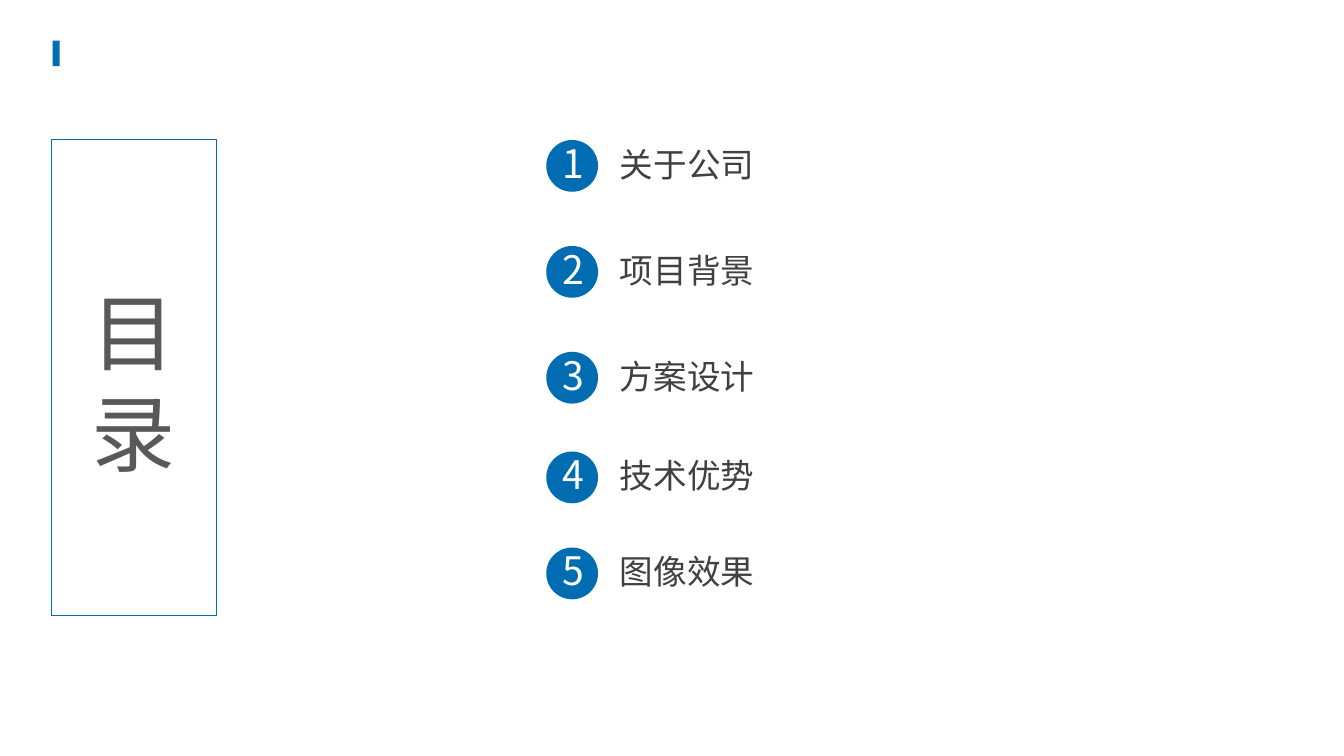
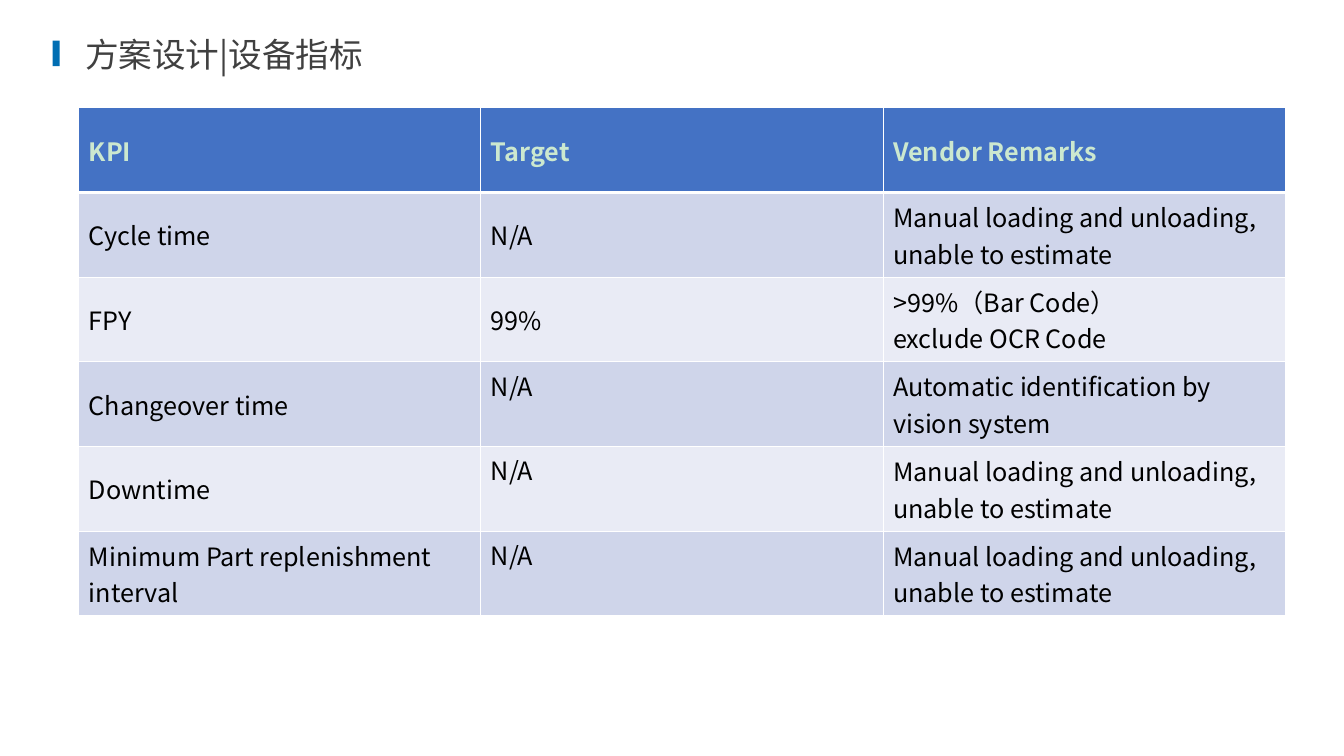
from dataclasses import dataclass
from typing import NamedTuple

from lxml import etree
from pptx import Presentation
from pptx.dml.color import RGBColor
from pptx.enum.shapes import MSO_SHAPE
from pptx.enum.text import MSO_ANCHOR, MSO_AUTO_SIZE, PP_ALIGN
from pptx.oxml.ns import qn
from pptx.util import Pt

RECT, OVAL = MSO_SHAPE.RECTANGLE, MSO_SHAPE.OVAL
TOP, MIDDLE = MSO_ANCHOR.TOP, MSO_ANCHOR.MIDDLE
LEFT, CENTER, JUSTIFY = PP_ALIGN.LEFT, PP_ALIGN.CENTER, PP_ALIGN.JUSTIFY
GROW, FIXED = MSO_AUTO_SIZE.SHAPE_TO_FIT_TEXT, MSO_AUTO_SIZE.NONE


@dataclass(frozen=True)
class Theme:
    font: str = "Noto Sans CJK SC"
    blue: str = "006EB3"
    disc: str = "006DB2"
    ink: str = "404040"
    grey: str = "595959"
    black: str = "000000"
    white: str = "FFFFFF"
    mint: str = "CCE8CF"
    head: str = "4472C4"
    bands: tuple[str, str] = ("CFD5EA", "E9EBF5")
    huge: float = 60
    digit: float = 28
    title: float = 24
    body: float = 18


class Box(NamedTuple):
    left: float
    top: float
    width: float
    height: float

    def points(self) -> list:
        return [Pt(side) for side in self]


@dataclass(frozen=True)
class Style:
    size: float
    color: str
    bold: bool = False
    align: PP_ALIGN = LEFT
    line: float | None = None
    before: float | None = None


class Topic(NamedTuple):
    label: str
    top: float


class Metric(NamedTuple):
    name: str
    target: str
    remark: str
    anchor: MSO_ANCHOR = MIDDLE


THEME = Theme()
HUGE = Style(THEME.huge, THEME.grey, align=CENTER)
TITLE = Style(THEME.title, THEME.ink)
LABEL = Style(THEME.title, THEME.ink, align=JUSTIFY, line=20, before=12)
DIGIT = Style(THEME.digit, THEME.white, align=JUSTIFY, line=20, before=12)
HEAD = Style(THEME.body, THEME.mint, bold=True)
BODY = Style(THEME.body, THEME.black)

DISC = 37
INSET = 4.5
BAR = Box(37.7, 29, 5, 18.3)
TABLE = Box(56.2, 77, 861.9, 363)
TOPICS = (
    Topic("关于公司", 100),
    Topic("项目背景", 175.7),
    Topic("方案设计", 251.3),
    Topic("技术优势", 322.5),
    Topic("图像效果", 391.1),
)
MANUAL = "Manual loading and unloading, unable to estimate"
METRICS = (
    Metric("Cycle time", "N/A", MANUAL),
    Metric("FPY", "99%", ">99%（Bar Code）\nexclude OCR Code"),
    Metric("Changeover time", "N/A", "Automatic identification by vision system", TOP),
    Metric("Downtime", "N/A", MANUAL, TOP),
    Metric("Minimum Part replenishment interval", "N/A", MANUAL, TOP),
)


def rgb(code: str) -> RGBColor:
    return RGBColor.from_string(code)


def write(frame, text: str, style: Style) -> None:
    frame.text = text
    for para in frame.paragraphs:
        para.alignment = style.align
        if style.line is not None:
            para.line_spacing = Pt(style.line)
        if style.before is not None:
            para.space_before = Pt(style.before)
        for run in para.runs:
            run.font.size = Pt(style.size)
            run.font.bold = style.bold
            run.font.color.rgb = rgb(style.color)
            run.font.name = THEME.font
            props = run._r.get_or_add_rPr()
            etree.SubElement(props, qn("a:ea"), typeface=THEME.font)


def add_text(slide, box: Box, text: str, style: Style, inset: float = 0,
             anchor: MSO_ANCHOR = MIDDLE, wrap: bool = True, grow: bool = False) -> None:
    frame = slide.shapes.add_textbox(*box.points()).text_frame
    frame.margin_left = frame.margin_right = Pt(inset)
    frame.margin_top = frame.margin_bottom = Pt(inset)
    frame.word_wrap = wrap
    frame.auto_size = GROW if grow else FIXED
    frame.vertical_anchor = anchor
    write(frame, text, style)


def add_form(slide, kind: MSO_SHAPE, box: Box, fill: str = "", line: str = "") -> None:
    """Draw a preset shape; an empty colour leaves that part out."""
    form = slide.shapes.add_shape(kind, *box.points())
    form.shadow.inherit = False
    for part, color in ((form.fill, fill), (form.line.fill, line)):
        if color:
            part.solid()
            part.fore_color.rgb = rgb(color)
        else:
            part.background()
    if line:
        form.line.width = Pt(0.75)


def add_slide(deck):
    """Add a blank slide with the title bar."""
    slide = deck.slides.add_slide(deck.slide_layouts[6])
    add_form(slide, RECT, BAR, fill=THEME.blue)
    return slide


def add_edges(cell, row: int) -> None:
    """Rule a cell, with a heavy line under the header row."""
    props = cell._tc.get_or_add_tcPr()
    widths = {"L": 1, "R": 1, "T": 3 if row == 1 else 1, "B": 3 if row == 0 else 1}
    for side, width in widths.items():
        edge = etree.SubElement(props, qn(f"a:ln{side}"), w=str(Pt(width)))
        fill = etree.SubElement(edge, qn("a:solidFill"))
        etree.SubElement(fill, qn("a:srgbClr"), val=THEME.white)


def add_cell(cell, row: int, text: str, anchor: MSO_ANCHOR) -> None:
    add_edges(cell, row)
    cell.fill.solid()
    cell.fill.fore_color.rgb = rgb(THEME.bands[(row - 1) % 2] if row else THEME.head)
    cell.vertical_anchor = anchor
    write(cell.text_frame, text, BODY if row else HEAD)


def add_topic(slide, number: int, topic: Topic) -> None:
    top = topic.top + 11.5
    add_text(slide, Box(442.8, top, 296, 23), topic.label, LABEL, anchor=TOP)
    add_form(slide, OVAL, Box(390.2, topic.top, DISC, DISC), fill=THEME.disc)
    add_text(slide, Box(401.8, top, 15, 23), str(number), DIGIT, wrap=False, grow=True)


def add_agenda(deck) -> None:
    slide = add_slide(deck)
    add_text(slide, Box(52.6, 195.8, 85.7, 153.4), "目\n录", HUGE, INSET, grow=True)
    add_form(slide, RECT, Box(36.5, 100, 118, 340), line=THEME.blue)
    for number, topic in enumerate(TOPICS, 1):
        add_topic(slide, number, topic)


def add_metrics(deck) -> None:
    slide = add_slide(deck)
    add_text(slide, Box(56.2, 22.5, 682, 32.4), "方案设计|设备指标", TITLE, INSET)
    rows = (Metric("KPI", "Target", "Vendor Remarks"), *METRICS)
    table = slide.shapes.add_table(len(rows), 3, *TABLE.points()).table
    for column in table.columns:
        column.width = Pt(TABLE.width / 3)
    for row, item in enumerate(rows):
        table.rows[row].height = Pt(TABLE.height / len(rows))
        add_cell(table.cell(row, 0), row, item.name, MIDDLE)
        add_cell(table.cell(row, 1), row, item.target, item.anchor)
        add_cell(table.cell(row, 2), row, item.remark, MIDDLE)


def main() -> None:
    deck = Presentation()
    deck.slide_width, deck.slide_height = Pt(960), Pt(540)
    add_agenda(deck)
    add_metrics(deck)
    deck.save("out.pptx")


if __name__ == "__main__":
    main()
